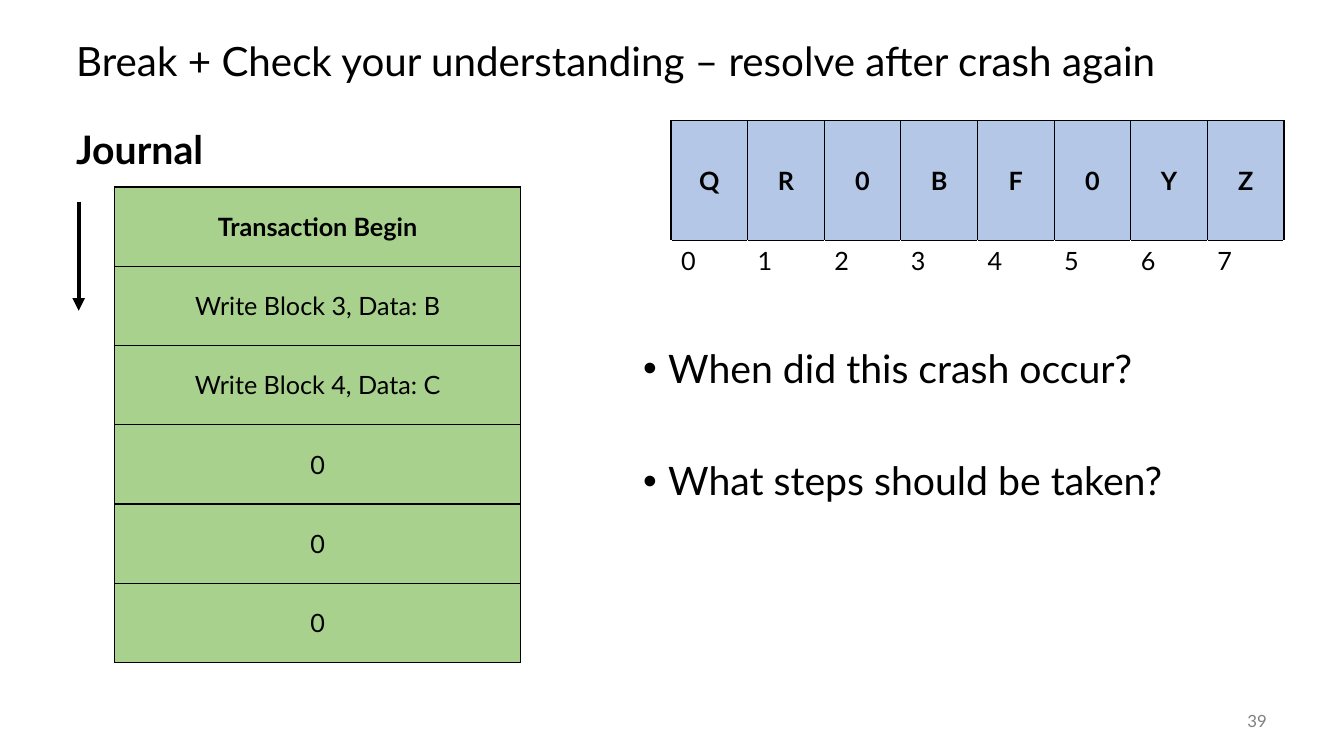
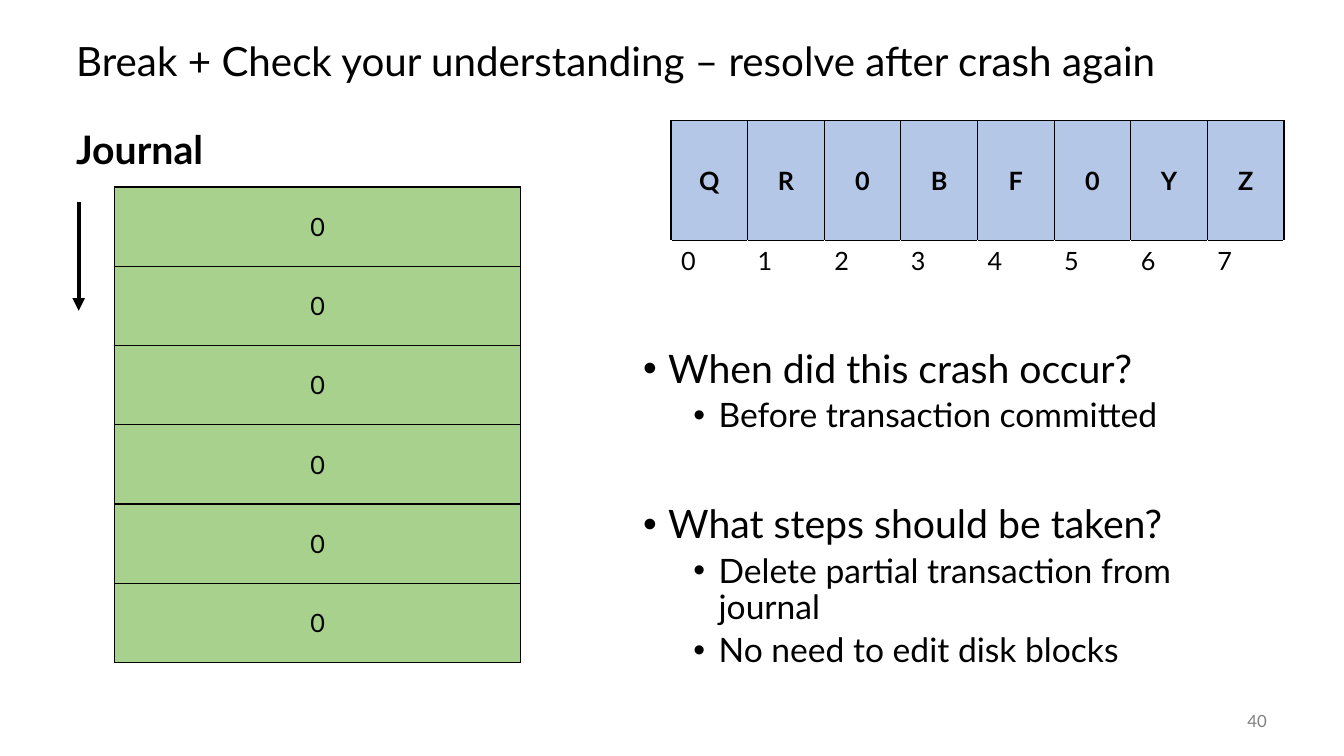
from dataclasses import dataclass

from lxml.etree import SubElement
from pptx import Presentation
from pptx.dml.color import RGBColor
from pptx.enum.shapes import MSO_CONNECTOR
from pptx.enum.text import MSO_ANCHOR as Anchor, MSO_AUTO_SIZE as AutoSize, PP_ALIGN as Align
from pptx.oxml import parse_xml
from pptx.oxml.ns import nsdecls, qn
from pptx.util import Emu, Pt

EMU_PER_PX = 9525
TITLE_ONLY = 5


@dataclass(frozen=True)
class Theme:
    font: str = "Lato"
    ink: str = "000000"
    paper: str = "FFFFFF"
    muted: str = "808080"
    disk: str = "B4C7E7"
    journal: str = "A9D18E"
    title_size: float = 28.8
    body_size: int = 28
    answer_size: int = 24
    cell_size: int = 18
    number_size: int = 12
    line_spacing: float = 0.9
    question_gap: int = 50
    answer_gap: int = 5


THEME = Theme()

TITLE = "Break + Check your understanding – resolve after crash again"
DISK_BLOCKS = "QR0BF0YZ"
WHEN = "When did this crash occur?"
STEPS = "What steps should be taken?"
SLIDES = [
    (39,
     ["Transaction Begin", "Write Block 3, Data: B", "Write Block 4, Data: C", "0", "0", "0"],
     [(WHEN, []), (STEPS, [])]),
    (40,
     ["0"] * 6,
     [(WHEN, ["Before transaction committed"]),
      (STEPS, ["Delete partial transaction from journal", "No need to edit disk blocks"])]),
]


def px(*lengths):
    return [Emu(round(length * EMU_PER_PX)) for length in lengths]


def style(paragraph, size, color=THEME.ink, bold=False, align=Align.LEFT):
    paragraph.alignment = align
    font = paragraph.font
    font.name, font.size, font.bold = THEME.font, Pt(size), bold
    font.color.rgb = RGBColor.from_string(color)


def add_title(slide):
    title = slide.shapes.title
    title.left, title.top, title.width, title.height = px(63, 24, 1152, 72)
    frame = title.text_frame
    frame.text = TITLE
    frame.auto_size = AutoSize.NONE
    frame.vertical_anchor = Anchor.MIDDLE
    frame.paragraphs[0].line_spacing = THEME.line_spacing
    style(frame.paragraphs[0], THEME.title_size)


def add_text_frame(slide, box, anchor=Anchor.TOP):
    frame = slide.shapes.add_textbox(*px(*box)).text_frame
    frame.word_wrap = True
    frame.vertical_anchor = anchor
    return frame


def add_heading(slide, text):
    heading = add_text_frame(slide, (63, 120, 552, 528)).paragraphs[0]
    heading.text = text
    heading.line_spacing = THEME.line_spacing
    style(heading, THEME.body_size, bold=True)


def add_slide_number(slide, number):
    paragraph = add_text_frame(slide, (1120, 667, 96, 38), Anchor.MIDDLE).paragraphs[0]
    paragraph.text = str(number)
    style(paragraph, THEME.number_size, THEME.muted, align=Align.RIGHT)


def add_bullet(paragraph, indent):
    properties = paragraph._p.get_or_add_pPr()
    hanging, = px(24)
    properties.set("marL", str(px(indent)[0]))
    properties.set("indent", str(-hanging))
    SubElement(properties, qn("a:buFont"), typeface="Arial")
    SubElement(properties, qn("a:buChar"), char="•")


def add_questions(slide, questions):
    frame = add_text_frame(slide, (603, 328, 613, 320))
    lines = []
    for question, answers in questions:
        lines.append((question, 0))
        lines += [(answer, 1) for answer in answers]
    for index, (text, level) in enumerate(lines):
        paragraph = frame.add_paragraph() if index else frame.paragraphs[0]
        paragraph.text = text
        paragraph.level = level
        add_bullet(paragraph, 72 if level else 24)
        paragraph.line_spacing = THEME.line_spacing
        if index:
            paragraph.space_before = Pt(THEME.answer_gap if level else THEME.question_gap)
        style(paragraph, THEME.answer_size if level else THEME.body_size)


def set_borders(cell, sides, top):
    """Draw 1 pt borders, with a colour of its own for the top one."""
    properties = cell._tc.get_or_add_tcPr()
    colors = {"lnL": sides, "lnR": sides, "lnT": top, "lnB": sides}
    for position, (tag, color) in enumerate(colors.items()):
        properties.insert(position, parse_xml(
            f'<a:{tag} {nsdecls("a")} w="{Pt(1)}"><a:solidFill>'
            f'<a:srgbClr val="{color}"/></a:solidFill></a:{tag}>'))


def add_plain_table(slide, left, top, column_widths, row_heights):
    table = slide.shapes.add_table(
        len(row_heights), len(column_widths),
        *px(left, top, sum(column_widths), sum(row_heights))).table
    table.first_row = table.horz_banding = False
    for column, width in zip(table.columns, px(*column_widths)):
        column.width = width
    for row, height in zip(table.rows, px(*row_heights)):
        row.height = height
    return table


def fill_block(cell, text, color, bold):
    cell.text = text
    cell.vertical_anchor = Anchor.MIDDLE
    cell.fill.solid()
    cell.fill.fore_color.rgb = RGBColor.from_string(color)
    set_borders(cell, THEME.ink, THEME.ink)
    style(cell.text_frame.paragraphs[0], THEME.cell_size, bold=bold, align=Align.CENTER)


def fill_index(cell, text):
    cell.text = text
    cell.fill.background()
    set_borders(cell, THEME.paper, THEME.ink)
    style(cell.text_frame.paragraphs[0], THEME.cell_size)


def add_disk(slide):
    table = add_plain_table(slide, 639, 115, [73] * len(DISK_BLOCKS), [114, 51])
    for index, block in enumerate(DISK_BLOCKS):
        fill_block(table.cell(0, index), block, THEME.disk, bold=True)
        fill_index(table.cell(1, index), str(index))


def add_journal(slide, entries):
    row_height = 453 / len(entries)
    table = add_plain_table(slide, 109, 178, [387], [row_height] * len(entries))
    for index, entry in enumerate(entries):
        fill_block(table.cell(index, 0), entry, THEME.journal,
                   bold=entry.startswith("Transaction"))


def add_direction_arrow(slide):
    arrow = slide.shapes.add_connector(MSO_CONNECTOR.STRAIGHT, *px(75, 192, 75, 296))
    arrow.line.color.rgb = RGBColor.from_string(THEME.ink)
    arrow.line.width = Pt(3)
    SubElement(arrow.line._get_or_add_ln(), qn("a:tailEnd"), type="triangle")
    SubElement(arrow._element.spPr, qn("a:effectLst"))


def main():
    deck = Presentation()
    deck.slide_width, deck.slide_height = px(1280, 720)
    for number, entries, questions in SLIDES:
        slide = deck.slides.add_slide(deck.slide_layouts[TITLE_ONLY])
        add_title(slide)
        add_heading(slide, "Journal")
        add_slide_number(slide, number)
        add_questions(slide, questions)
        add_disk(slide)
        add_journal(slide, entries)
        add_direction_arrow(slide)
    deck.save("out.pptx")


if __name__ == "__main__":
    main()
